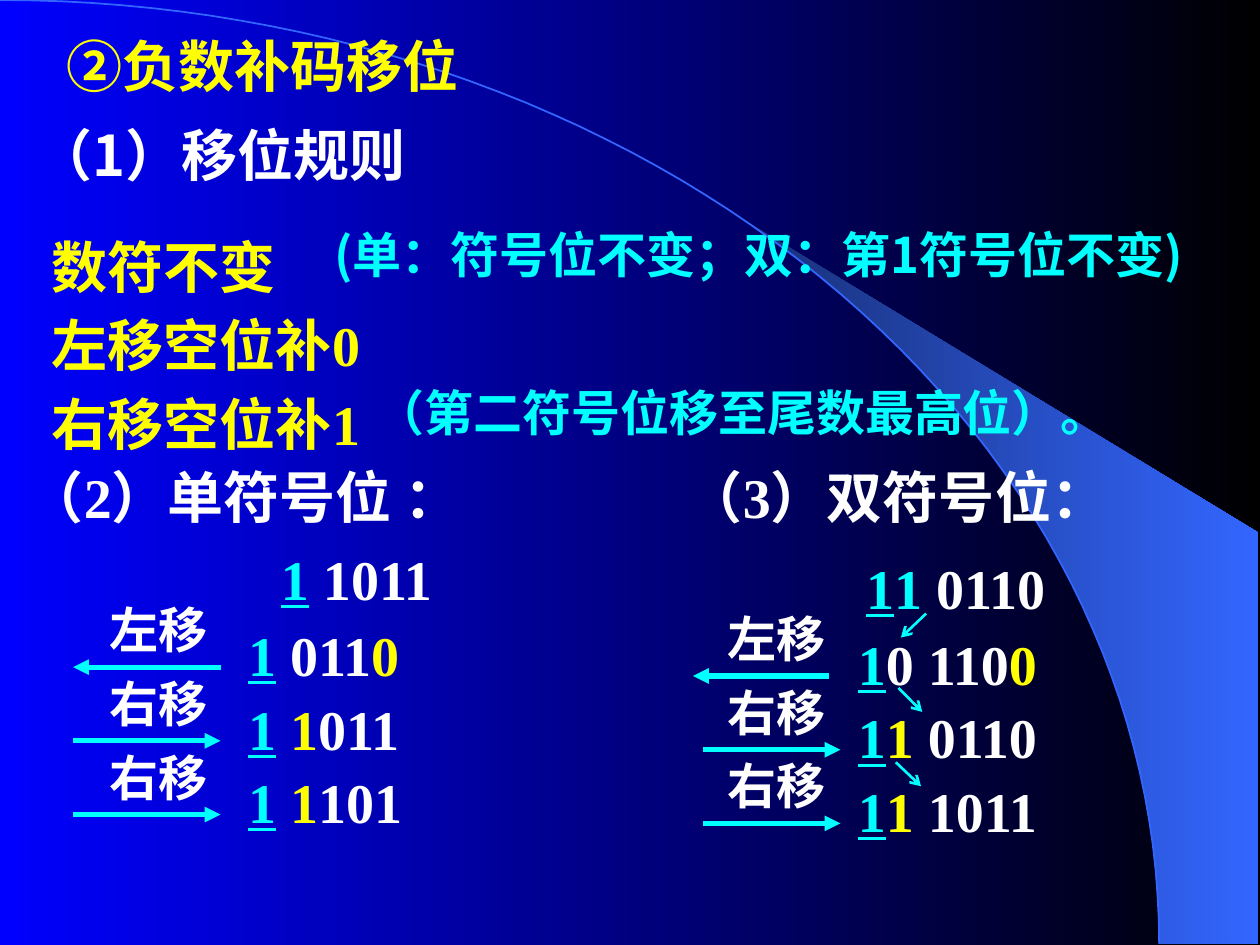
from math import asin, cos, pi, sin
from lxml import etree
from pptx import Presentation, util as u
from pptx.dml.color import RGBColor
from pptx.enum import shapes, text
from pptx.oxml.ns import qn

rgb = RGBColor.from_string
WHITE, CYAN, GOLD, BLUE = "FFFFFF", "00FFFF", "FFFF00", "3366FF"
ROMAN, HAN = "Times New Roman", "Noto Sans CJK SC"
LEFT, MID = text.PP_ALIGN.LEFT, text.PP_ALIGN.CENTER

deck = Presentation()
deck.slide_width, deck.slide_height = u.Inches(10), u.Inches(7.5)
slide = deck.slides.add_slide(deck.slide_layouts[1])
tree = slide.shapes


def write(words, x, y, w, h=0.64, shape=None, size=32, color=WHITE,
          font=ROMAN, align=LEFT, pitch=None):
    """Fill a box; words is a string with one line per paragraph, or a list of
    (text, colour) runs whose first run is underlined."""
    place = [u.Inches(v) for v in (x, y, w, h)]
    shape = shape or tree.add_textbox(*place)
    shape.left, shape.top, shape.width, shape.height = place
    frame = shape.text_frame
    frame.word_wrap = True
    frame.auto_size = text.MSO_AUTO_SIZE.NONE
    frame.vertical_anchor = text.MSO_ANCHOR.TOP
    plain = isinstance(words, str)
    lines = [[(line, color)] for line in words.split("\n")] if plain else [words]
    for i, runs in enumerate(lines):
        para = frame.add_paragraph() if i else frame.paragraphs[0]
        props = para._p.get_or_add_pPr()
        props.set("marL", "0")
        props.set("indent", "0")
        etree.SubElement(props, qn("a:buNone"))
        para.alignment, para.space_before = align, u.Pt(0)
        if pitch:
            para.line_spacing = pitch
        for j, (part, tint) in enumerate(runs):
            run = para.add_run()
            run.text = part
            run.font.size, run.font.bold = u.Pt(size), True
            run.font.name, run.font.color.rgb = font, rgb(tint)
            run.font.underline = not plain and j == 0
            etree.SubElement(run._r.rPr, qn("a:ea"), typeface=HAN)


def arrow(x1, y1, x2, y2, width=3, head="triangle"):
    line = tree.add_connector(shapes.MSO_CONNECTOR.STRAIGHT,
                              *[u.Inches(v) for v in (x1, y1, x2, y2)])
    line.line.color.rgb, line.line.width = rgb(CYAN), u.Pt(width)
    etree.SubElement(line.line._get_or_add_ln(), qn("a:tailEnd"), type=head)
    etree.SubElement(line._element.spPr, qn("a:effectLst"))


# Backdrop: a quarter ellipse and a band that touches its lower part
RX, RY = 9.2, 7.49
start = asin(5.89 / RX)
turns = [pi / 2 * i / 60 for i in range(61)]
bend = [start + (pi / 2 - start) * i / 30 for i in range(31)]
edge = [(RX * sin(t), RY - RY * cos(t)) for t in turns]
side = [(RX * sin(t), RY - RY * cos(t)) for t in bend]
side += [(9.99, RY), (9.99, 4.23)]

forms = []
for points, closed in ((side, True), (edge, False)):
    pen = tree.build_freeform(*points[0], scale=u.Inches(1))
    # fine units keep the curve smooth
    pen = tree.build_freeform(*[round(v * 1000) for v in points[0]],
                              scale=u.Inches(1) / 1000)
    pen.add_line_segments([(round(a * 1000), round(b * 1000))
                           for a, b in points[1:]], close=closed)
    form = pen.convert_to_shape()
    form.shadow.inherit = False
    forms.append(form)
band, arc = forms
band.line.fill.background()
arc.fill.background()
arc.line.color.rgb, arc.line.width = rgb(BLUE), u.Pt(1)
for i, form in enumerate(forms):
    tree._spTree.insert(2 + i, form._element)

for fill, ends in ((slide.background.fill, ("0000FF", "000000")),
                   (band.fill, ("182F76", BLUE))):
    fill.gradient()
    fill.gradient_angle = 0
    for stop, tint, spot in zip(fill.gradient_stops, ends, (0, 1)):
        stop.color.rgb, stop.position = rgb(tint), spot

# Headings and rules
write("②负数补码移位", 0.43, 0.2, 4.91, shape=tree.title, color=GOLD, font=HAN)
write("（1）移位规则", 0.19, 0.91, 4.33, font=HAN)
write("数符不变\n左移空位补0\n右移空位补1", 0.31, 1.7, 3.75, 1.98,
      shape=slide.placeholders[1], color=GOLD, pitch=u.Pt(45))
write("(单：符号位不变；双：第1符号位不变)", 2.28, 1.73, 7.48, 0.57,
      size=28, color=CYAN, font=HAN, align=MID)
write("（第二符号位移至尾数最高位）。", 2.77, 2.99, 6.25, 0.57,
      size=28, color=CYAN, align=MID)
write("（2）单符号位 ：", 0.07, 3.62, 3.74, align=MID)
write("（3）双符号位：", 5.23, 3.62, 3.78, align=MID)

# Worked shifts: one sign bit on the left, two on the right
STEP = 0.585
single = [
    [("1", CYAN), (" 1011", WHITE)],
    [("1", CYAN), (" 011", WHITE), ("0", GOLD)],
    [("1", CYAN), (" ", WHITE), ("1", GOLD), ("011", WHITE)],
    [("1", CYAN), (" ", WHITE), ("1", GOLD), ("101", WHITE)],
]
double = [
    [("1", CYAN), ("1", CYAN), (" 0110", WHITE)],
    [("1", CYAN), ("0 110", WHITE), ("0", GOLD)],
    [("1", CYAN), ("1", GOLD), (" 0110", WHITE)],
    [("1", CYAN), ("1", GOLD), (" 1011", WHITE)],
]
# rows, top, label x, first row x and width, other rows x, arrow spans
groups = [
    (single, 4.71, 0.67, 1.83, 2, 1.87, [(1.75, 0.58)] + [(0.58, 1.75)] * 2),
    (double, 4.78, 5.58, 6.67, 1.83, 6.71, [(6.58, 5.5)] + [(5.58, 6.67)] * 2),
]
for rows, top, tag, lead, wide, left, spans in groups:
    write(rows[0], lead, top - 0.25, wide, 0.42, align=MID, pitch=0.6)
    for i, (word, span) in enumerate(zip(("左移", "右移", "右移"), spans)):
        y = top + i * STEP
        write(word, tag, y, 1.17, 0.57, size=28, align=MID)
        arrow(span[0], y + 0.585, span[1], y + 0.585)
        write(rows[i + 1], left, y + 0.165, 1.92)

# Bits that cross between the sign and the number
for x1, y, x2 in ((7.35, 4.87, 7.15), (7.13, 5.46, 7.32), (7.11, 6.05, 7.31)):
    arrow(x1, y, x2, y + 0.19, width=1.5, head="arrow")

deck.save("out.pptx")
